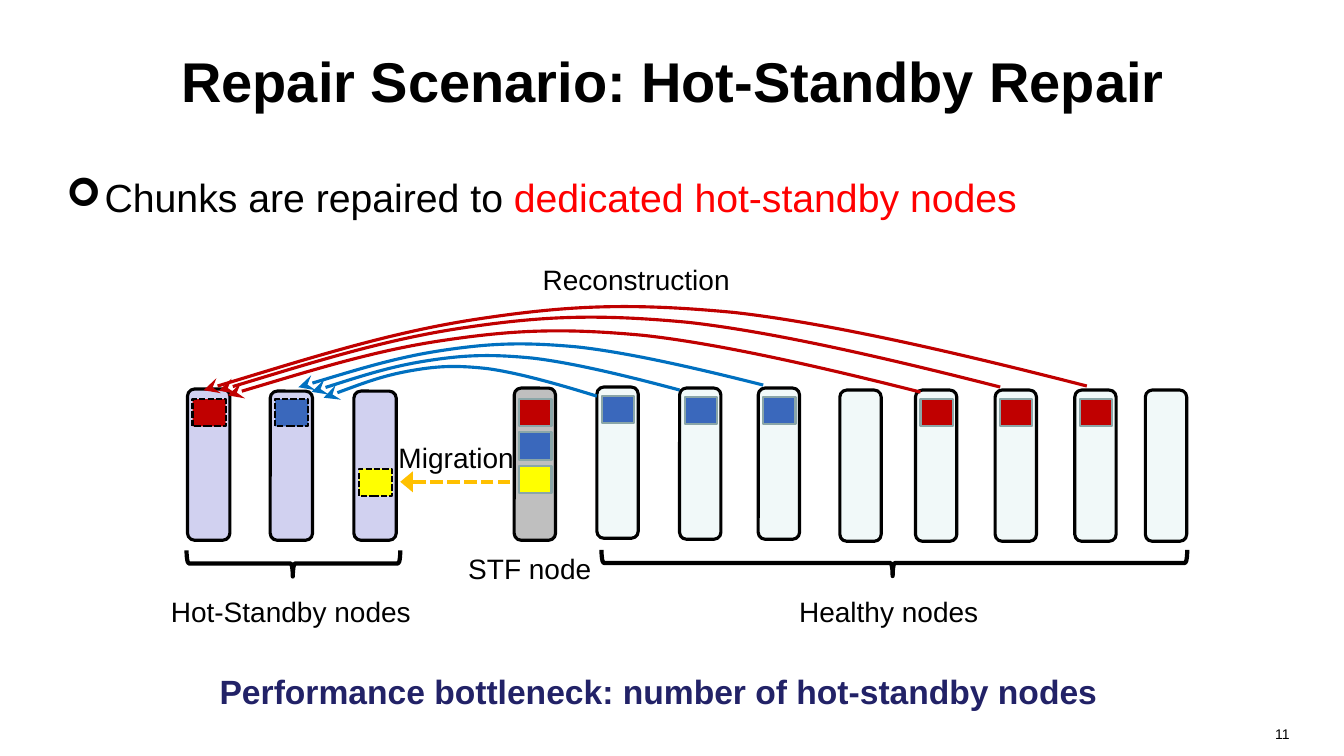
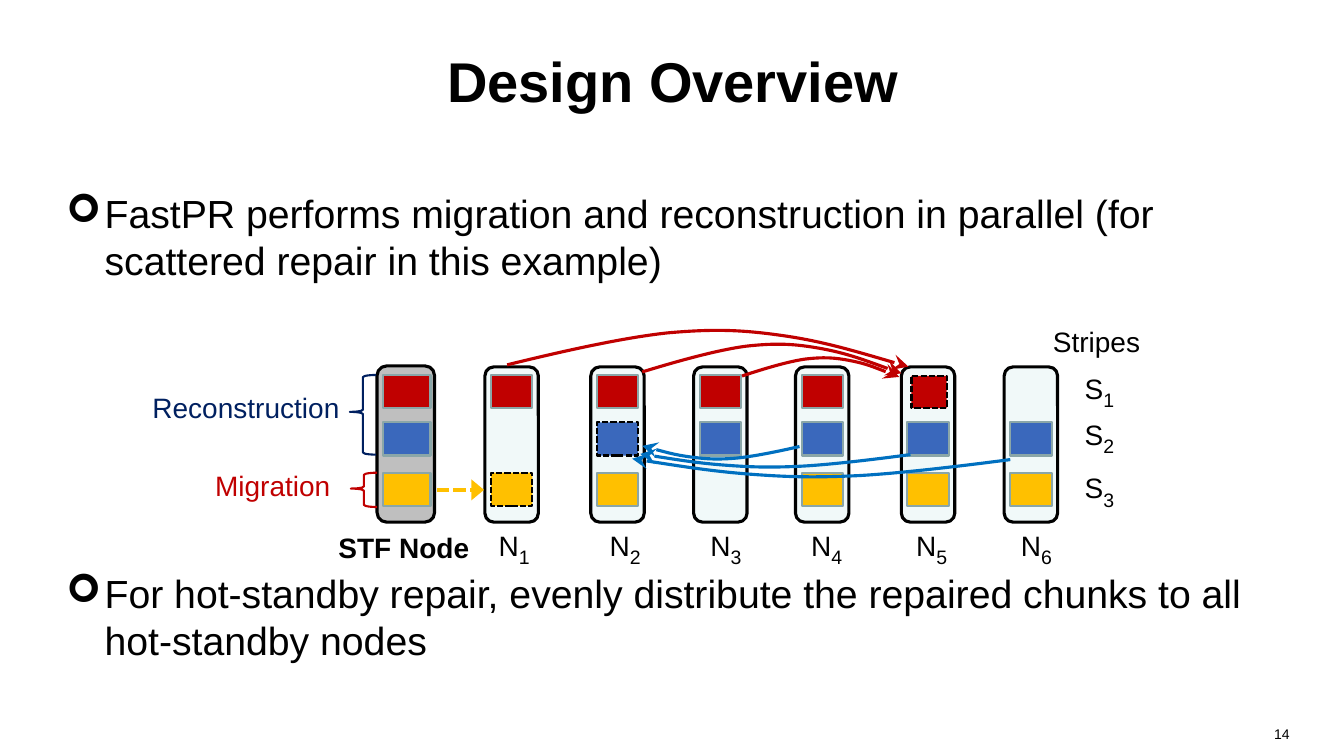
from dataclasses import dataclass

from lxml import etree
from pptx import Presentation
from pptx.dml.color import RGBColor
from pptx.enum import dml, shapes, text
from pptx.oxml.ns import qn
from pptx.util import Inches, Pt


@dataclass(frozen=True)
class Theme:
    font: str = "Arial"
    mark: str = "Wingdings"
    black: str = "000000"
    red: str = "C00000"
    bright: str = "FF0000"
    blue: str = "3A68BC"
    arrow: str = "0070C0"
    yellow: str = "FFFF00"
    gold: str = "FFC000"
    navy: str = "002060"
    note: str = "222267"
    edge: str = "8AA6A8"
    standby: str = "D1D1F0"
    healthy: str = "F1F9F9"
    failing: str = "BFBFBF"
    title: int = 40
    body: int = 28
    strong: int = 24
    label: int = 20
    page: int = 10


T = Theme()
MID = text.MSO_ANCHOR.MIDDLE
TOP = text.MSO_ANCHOR.TOP
LEFT, CENTER, RIGHT = text.PP_ALIGN.LEFT, text.PP_ALIGN.CENTER, text.PP_ALIGN.RIGHT

# Bézier points of every arc, as shares of its span and its rise
ARC = [(0, 0), (.14, .38), (.29, .75), (.4, .88), (.52, 1), (.59, .96),
       (.69, .8), (.79, .64), (.89, .3), (1, -.05)]


def rgb(color):
    return RGBColor.from_string(color)


def add_text(slide, box, runs, size=T.label, color=T.black, bold=False,
             align=CENTER, anchor=MID, bullet=None):
    """Runs: a string, or a list of (text, changes); changes: color, size, base."""
    shape = slide.shapes.add_textbox(*map(Inches, box))
    frame = shape.text_frame
    frame.word_wrap = True
    frame.vertical_anchor = anchor
    para = frame.paragraphs[0]
    para.alignment = align
    if bullet:
        props = para._p.get_or_add_pPr()
        props.set("marL", str(Inches(.38)))
        props.set("indent", str(-Inches(.38)))
        etree.SubElement(props, qn("a:buFont")).set("typeface", T.mark)
        etree.SubElement(props, qn("a:buChar")).set("char", bullet)
    for words, change in [(runs, {})] if isinstance(runs, str) else runs:
        run = para.add_run()
        run.text = words
        run.font.name = T.font
        run.font.bold = bold
        run.font.size = Pt(change.get("size", size))
        run.font.color.rgb = rgb(change.get("color", color))
        if "base" in change:
            run._r.get_or_add_rPr().set("baseline", str(change["base"]))


def style(line, color, width, dash=False):
    line.color.rgb = rgb(color)
    line.width = Pt(width)
    if dash:
        line.dash_style = dml.MSO_LINE.SQUARE_DOT


def add_head(shape, kind, length):
    line = shape.element.spPr.find(qn("a:ln"))
    head = etree.SubElement(line, qn("a:tailEnd"))
    for key, value in (("type", kind), ("w", "lg"), ("len", length)):
        head.set(key, value)


def add_shape(slide, kind, box, fill, color, width, dash=False):
    shape = slide.shapes.add_shape(kind, *map(Inches, box))
    shape.shadow.inherit = False
    if fill:
        shape.fill.solid()
        shape.fill.fore_color.rgb = rgb(fill)
    else:
        shape.fill.background()
    style(shape.line, color, width, dash)
    return shape


def add_node(slide, box, fill):
    add_shape(slide, shapes.MSO_SHAPE.ROUNDED_RECTANGLE, box, fill, T.black, 2.25)


def add_chunk(slide, box, fill, dash=False):
    """A dashed chunk is one that gets repaired."""
    edge = T.black if dash else T.edge
    add_shape(slide, shapes.MSO_SHAPE.RECTANGLE, box, fill, edge, 1.5, dash)


def add_brace(slide, box, color, width, mid, down=False):
    kind = shapes.MSO_SHAPE.RIGHT_BRACE if down else shapes.MSO_SHAPE.LEFT_BRACE
    brace = add_shape(slide, kind, box, None, color, width)
    brace.adjustments[0] = .083
    brace.adjustments[1] = mid
    if down:
        brace.rotation = 90


def add_move(slide, start, end, y):
    line = slide.shapes.add_connector(
        shapes.MSO_CONNECTOR.STRAIGHT, *map(Inches, (start, y, end, y)))
    style(line.line, T.gold, 3, True)
    add_head(line, "triangle", "med")
    etree.SubElement(line.element.spPr, qn("a:effectLst"))


def bend(shape):
    """Turn each three straight segments into one cubic curve."""
    lines = list(shape.element.iter(qn("a:lnTo")))
    for i in range(0, len(lines), 3):
        curve = etree.Element(qn("a:cubicBezTo"))
        lines[i].addprevious(curve)
        for line in lines[i:i + 3]:
            curve.append(line[0])
            line.getparent().remove(line)


def add_arc(slide, start, y, end, rise, color):
    """A curved arrow; a negative rise makes it sag."""
    points = [(Inches(start + (end - start) * across), Inches(y - rise * up))
              for across, up in ARC]
    path = slide.shapes.build_freeform(*points[0])
    path.add_line_segments(points[1:], close=False)
    arc = path.convert_to_shape()
    bend(arc)
    arc.shadow.inherit = False
    arc.fill.background()
    style(arc.line, color, 2.25)
    add_head(arc, "stealth", "lg")


def add_bullet(slide, y, height, runs):
    add_text(slide, (.56, y, 12, height), runs, size=T.body, align=LEFT,
             anchor=TOP, bullet="➢")


def add_slide(deck, title, page):
    slide = deck.slides.add_slide(deck.slide_layouts[6])
    add_text(slide, (.67, .17, 12, 1.25), title, size=T.title, bold=True)
    add_text(slide, (9.78, 7.15, 3.11, .35), page, size=T.page, align=RIGHT, anchor=TOP)
    return slide


def add_standby(deck):
    slide = add_slide(deck, "Repair Scenario: Hot-Standby Repair", "11")
    add_bullet(slide, 1.67, .6, [("Chunks are repaired to ", {}),
                                 ("dedicated hot-standby nodes", {"color": T.bright})])

    for x, y, row, fill in [(1.86, 3.86, 3.96, T.red), (2.68, 3.88, 3.96, T.blue),
                            (3.51, 3.88, 4.65, T.yellow)]:
        add_node(slide, (x, y, .42, 5.36 - y), T.standby)
        add_chunk(slide, (x + .05, row, .33, .27), fill, True)

    add_node(slide, (5.1, 3.85, .41, 1.51), T.failing)
    for i, fill in enumerate((T.red, T.blue, T.yellow)):
        add_chunk(slide, (5.15, 3.96 + .33 * i, .32, .27), fill)

    for x, y, fill in [(5.92, 3.84, T.blue), (6.74, 3.85, T.blue), (7.52, 3.85, T.blue),
                       (8.33, 3.87, None), (9.08, 3.87, T.red), (9.87, 3.87, T.red),
                       (10.66, 3.87, T.red), (11.36, 3.87, None)]:
        add_node(slide, (x, y, .41, 1.5), T.healthy)
        if fill:
            add_chunk(slide, (x + .05, y + .09, .32, .27), fill)

    add_move(slide, 5.06, 3.97, 4.78)
    for start, y, end, rise, color in [
            (5.92, 3.93, 3.21, .31, T.arrow), (6.74, 3.87, 3.09, .36, T.arrow),
            (7.57, 3.82, 2.96, .43, T.arrow), (9.13, 3.89, 2.26, .64, T.red),
            (9.92, 3.84, 2.17, .73, T.red), (10.78, 3.83, 2.02, .83, T.red)]:
        add_arc(slide, start, y, end, rise, color)

    add_brace(slide, (8.74, 2.68, .26, 5.81), T.black, 3, .503, down=True)
    add_brace(slide, (2.78, 4.53, .26, 2.12), T.black, 3, .503, down=True)
    for x, y, width, words in [
            (5.17, 2.58, 2.28, "Reconstruction"), (3.84, 4.35, 1.37, "Migration"),
            (4.47, 5.45, 1.57, "STF node"), (1.43, 5.87, 2.91, "Hot-Standby nodes"),
            (7.36, 5.87, 2.91, "Healthy nodes")]:
        add_text(slide, (x, y, width, .38), words)
    add_text(slide, (2.08, 6.47, 9.5, .77),
             "Performance bottleneck: number of hot-standby nodes",
             size=T.strong, color=T.note, bold=True, align=LEFT)


def add_index(slide, box, letter, number):
    add_text(slide, box, [(letter, {}), (str(number), {"size": T.strong, "base": -25000})])


def add_design(deck):
    slide = add_slide(deck, "Design Overview", "14")
    add_bullet(slide, 1.83, 1.1, "FastPR performs migration and reconstruction in "
               "parallel (for scattered repair in this example)")
    add_bullet(slide, 5.6, 1.1, "For hot-standby repair, evenly distribute the "
               "repaired chunks to all hot-standby nodes")

    rows = (3.72, 4.19, 4.69)
    fills = {"r": T.red, "b": T.blue, "y": T.gold}
    add_node(slide, (3.74, 3.63, .57, 1.55), T.failing)
    for y, fill in zip(rows, fills.values()):
        add_chunk(slide, (3.8, y, .47, .33), fill)

    # One letter a stripe; a capital is a repaired chunk
    nodes = [(4.81, 4.8, "r-Y"), (5.86, 5.9, "rBy"), (6.88, 6.9, "rb-"),
             (7.89, 7.9, "rby"), (8.94, 8.94, "-by"), (9.96, 9.98, "-by")]
    for i, (x, left, chunks) in enumerate(nodes, 1):
        add_node(slide, (x, 3.64, .53, 1.54), T.healthy)
        for y, code in zip(rows, chunks):
            if code != "-":
                add_chunk(slide, (x + .06, y, .41, .33), fills[code.lower()], code.isupper())
        add_index(slide, (left, 5.18, .6, .47), "N", i)
    add_chunk(slide, (9.04, 3.73, .35, .32), T.red, True)

    add_move(slide, 4.33, 4.8, 4.86)
    for start, y, end, rise, color in [
            (5.03, 3.62, 9.01, .36, T.red), (6.37, 3.69, 8.94, .29, T.red),
            (7.36, 3.73, 8.92, .19, T.red), (7.93, 4.43, 6.37, -.13, T.arrow),
            (9.03, 4.51, 6.35, -.13, T.arrow), (10.02, 4.56, 6.27, -.18, T.arrow)]:
        add_arc(slide, start, y, end, rise, color)

    for i, y in enumerate((3.62, 4.08, 4.61), 1):
        add_index(slide, (10.61, y, .59, .47), "S", i)
    add_text(slide, (10.08, 3.15, 1.59, .47), "Stripes")
    add_text(slide, (3.21, 5.19, 1.59, .47), "STF Node", bold=True)
    add_brace(slide, (3.47, 3.72, .26, .79), T.navy, 1.5, .463)
    add_brace(slide, (3.48, 4.69, .26, .34), T.red, 1.5, .463)
    add_text(slide, (1.21, 3.78, 2.46, .52), "Reconstruction", color=T.navy)
    add_text(slide, (1.9, 4.53, 1.61, .56), "Migration", color=T.red)


def main():
    deck = Presentation()
    deck.slide_width, deck.slide_height = Inches(13.33), Inches(7.5)
    add_standby(deck)
    add_design(deck)
    deck.save("out.pptx")


if __name__ == "__main__":
    main()
